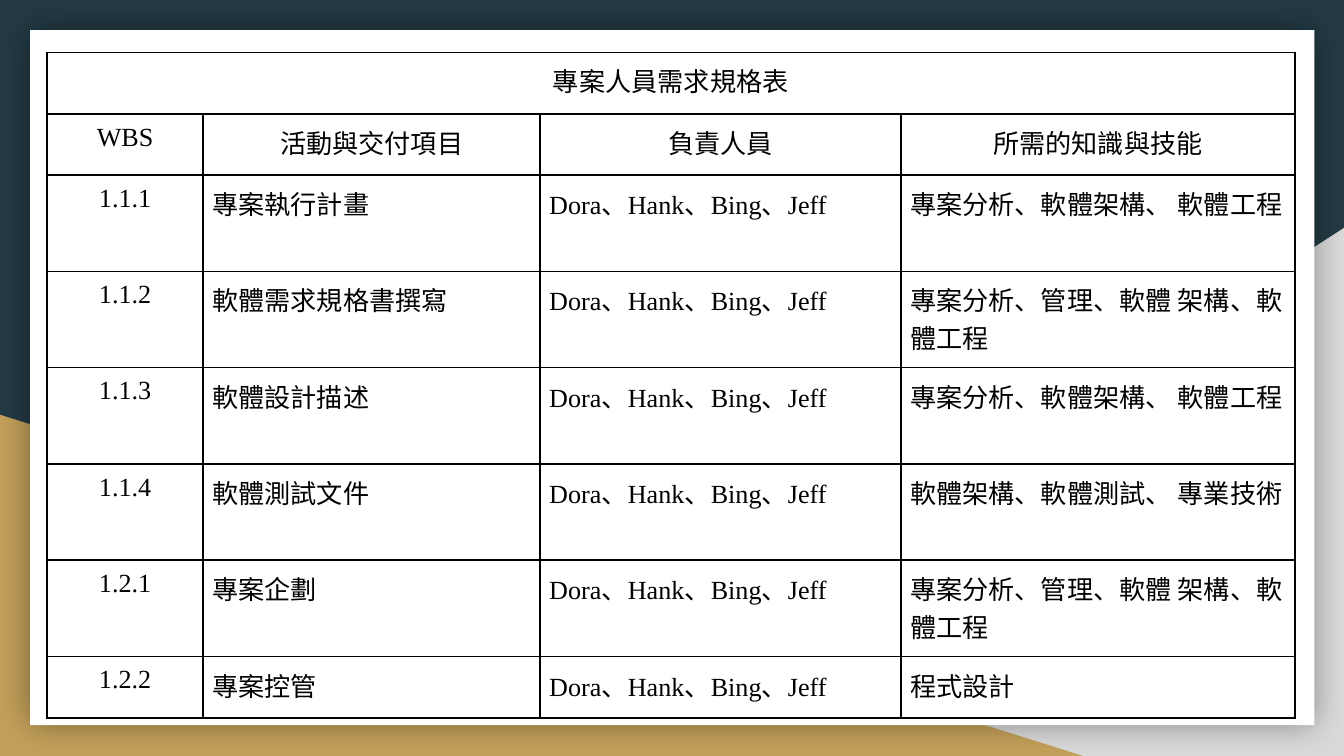
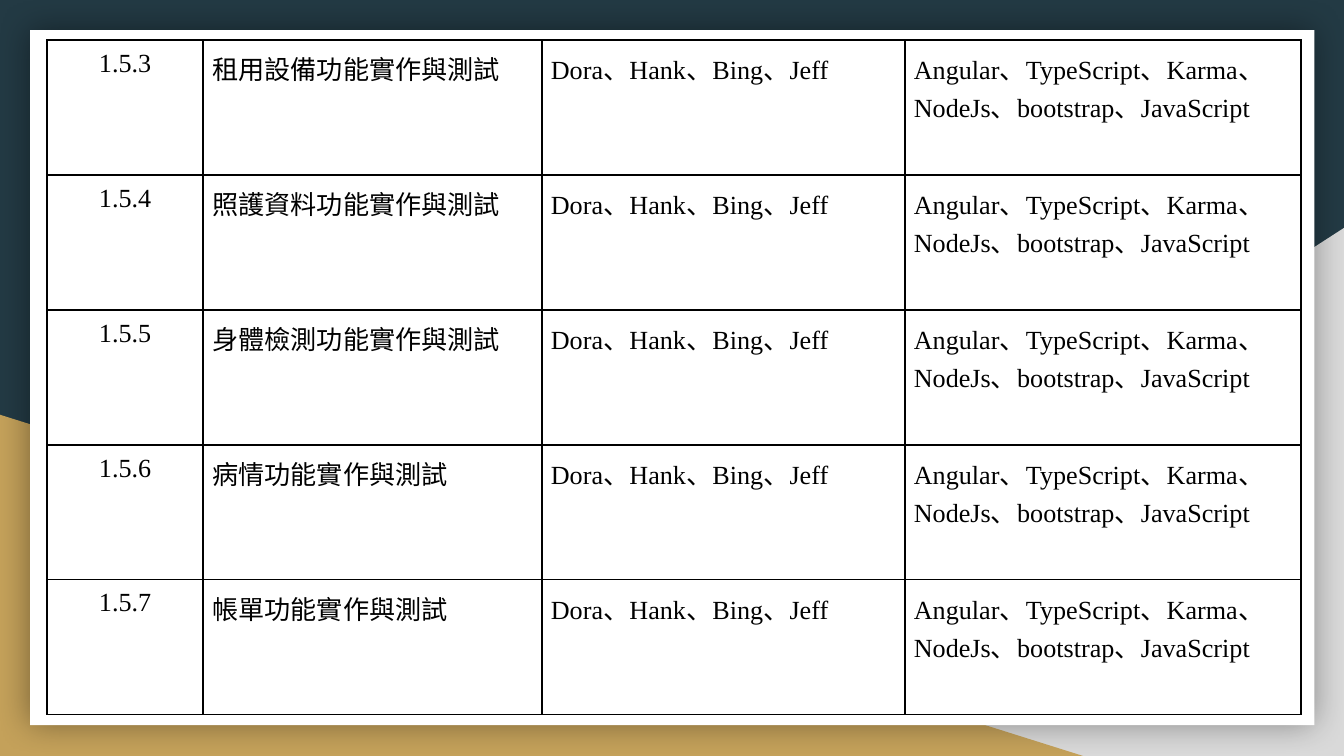
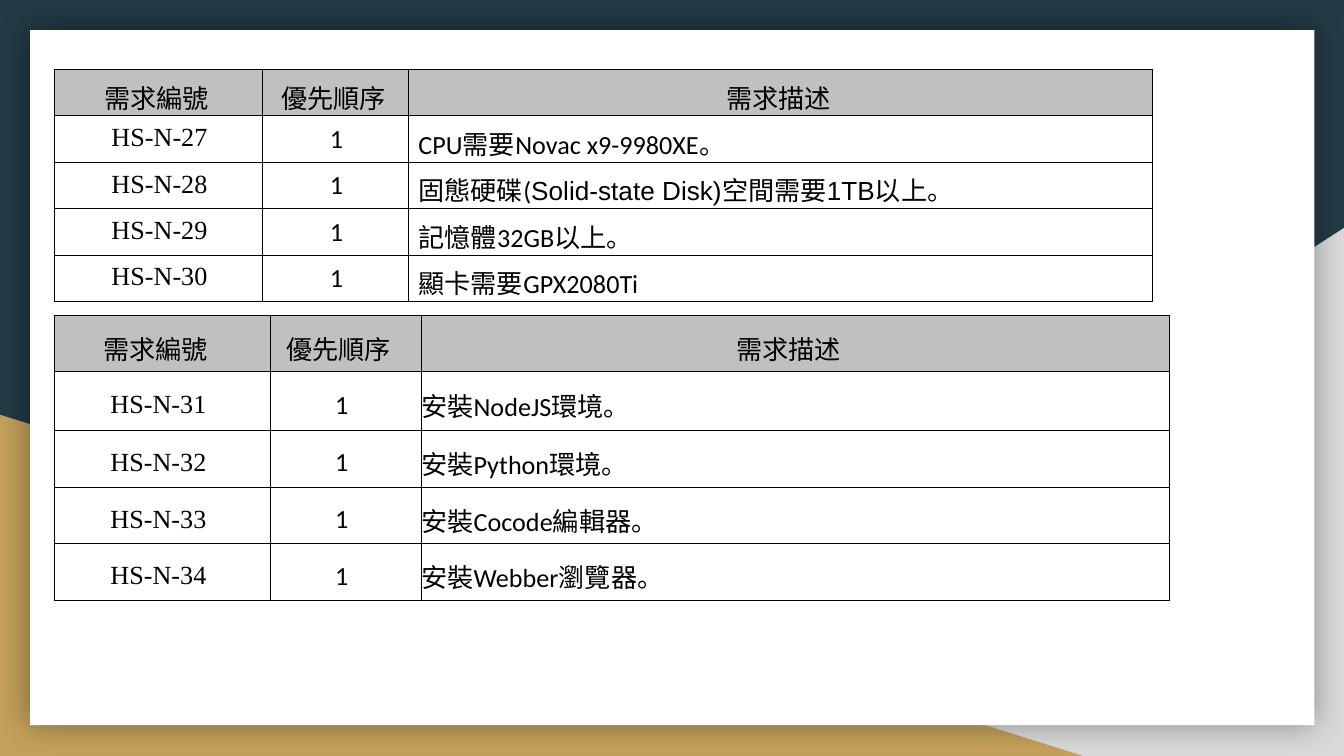
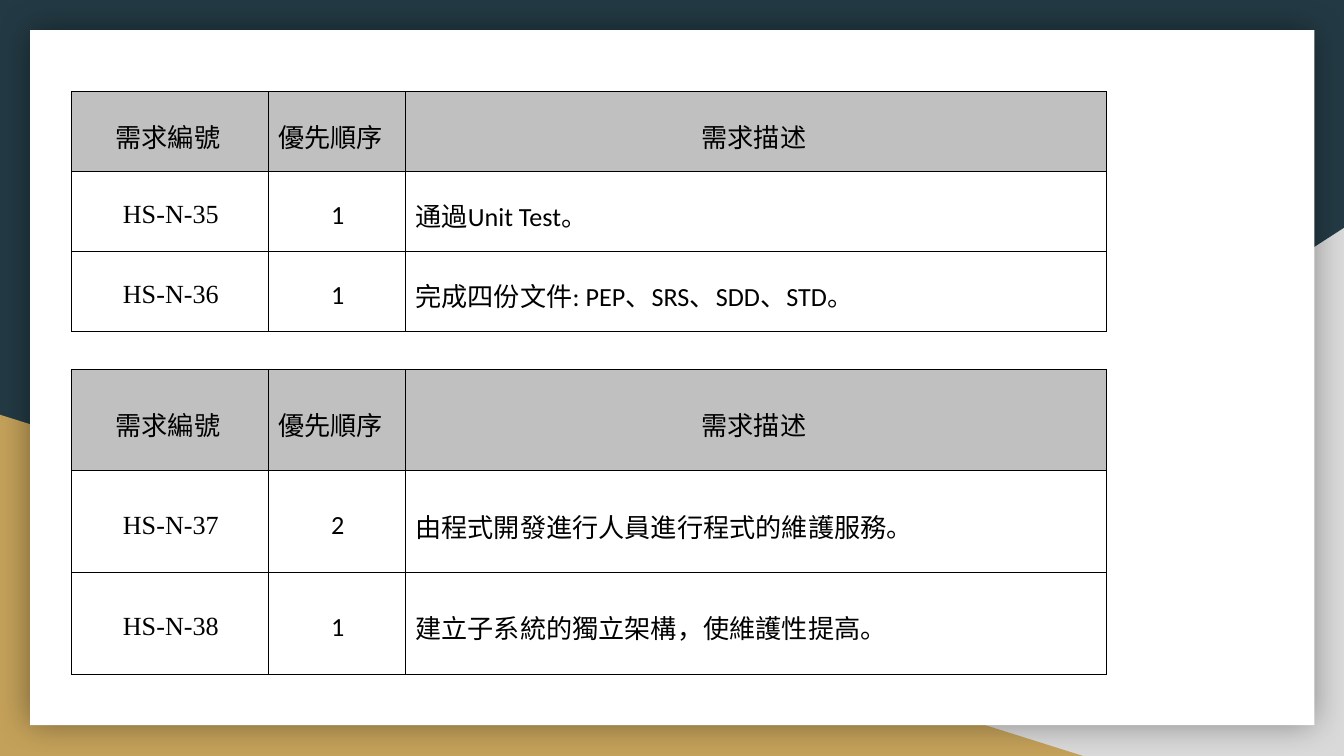
from lxml import etree
from pptx import Presentation
from pptx import util as u
from pptx.dml import color
from pptx.enum import shapes, text
from pptx.oxml import ns

Cm, Pt = u.Cm, u.Pt
AL = text.PP_ALIGN
MID = text.MSO_ANCHOR.MIDDLE

# Shared style
NAVY, GOLD, SILVER = "233A44", "C4A15A", "D9D9D9"
WHITE, BLACK, HEAD_FILL = "FFFFFF", "000000", "C0C0C0"
CJK, SERIF, SANS = "Noto Sans CJK TC", "Times New Roman", "Calibri"

STAFF_MARGINS = (0.17, 0.17, 0.17, 0.17)
NEED_MARGINS = (0.19, 0.1, 0.15, 0)
NEED_HEAD = ["需求編號 ", "優先順序 ", "需求描述 "]


def rgb(value):
    return color.RGBColor.from_string(value)


def set_all(obj, values):
    for name, value in values.items():
        setattr(obj, name, value)


def sub(parent, tag, **attrs):
    el = etree.SubElement(parent, ns.qn(tag))
    for name, value in attrs.items():
        el.set(name, str(value))
    return el


class Deck:
    def __init__(self):
        self.prs = Presentation()
        set_all(self.prs, {"slide_width": Cm(25.4), "slide_height": Cm(14.29)})
        self.s = None

    def slide(self):
        self.s = self.prs.slides.add_slide(self.prs.slide_layouts[6])

    def shape(self, kind, box, fill):
        sp = self.s.shapes.add_shape(kind, *(Cm(v) for v in box))
        sp.shadow.inherit = False
        sp.fill.solid()
        sp.fill.fore_color.rgb = rgb(fill)
        sp.line.fill.background()
        return sp

    def backdrop(self):
        """Build the shared background and move it to the slide master."""
        master = self.prs.slide_master
        fill = master.background.fill
        fill.solid()
        fill.fore_color.rgb = rgb(NAVY)

        kinds = shapes.MSO_SHAPE
        right = self.shape(kinds.RIGHT_TRIANGLE, (9.96, 4.31, 15.44, 9.98), SILVER)
        right.element.spPr.xfrm.set("flipH", "1")
        left = self.shape(kinds.RIGHT_TRIANGLE, (0, 7.84, 20.47, 6.45), GOLD)
        panel = self.shape(kinds.RECTANGLE, (0.57, 0.57, 24.27, 13.14), WHITE)
        effects = panel.element.spPr.find(ns.qn("a:effectLst"))
        glow = sub(effects, "a:outerShdw", blurRad=Pt(18), dist=0, algn="ctr",
                   rotWithShape=0)
        sub(sub(glow, "a:srgbClr", val=BLACK), "a:alpha", val=40000)
        for i, sp in enumerate((right, left, panel)):
            master.element.cSld.spTree.insert(2 + i, sp.element)

    def borders(self, cell, widths):
        tcPr = cell._tc.get_or_add_tcPr()
        for side, width in zip("LRTB", widths):
            ln = sub(tcPr, "a:ln" + side, w=Pt(width))
            sub(sub(ln, "a:solidFill"), "a:srgbClr", val=BLACK)

    def cell_text(self, cell, runs, font, align, spacing=None, indent=0):
        p = cell.text_frame.paragraphs[0]
        set_all(p, {"alignment": align, "line_spacing": spacing})
        if indent:
            pPr = p._p.get_or_add_pPr()
            pPr.set("marL", str(Cm(indent)))
            pPr.set("indent", str(-Cm(indent)))
        for words, face in [(runs, font)] if isinstance(runs, str) else runs:
            r = p.add_run()
            r.text = words
            r.font.color.rgb = rgb(BLACK)
            set_all(r.font, {"size": Pt(14), "name": face})
            sub(r._r.get_or_add_rPr(), "a:ea", typeface=CJK)

    def table(self, left, top, cols, heights):
        frame = self.s.shapes.add_table(
            len(heights), len(cols), Cm(left), Cm(top),
            Cm(sum(cols)), Cm(sum(heights)))
        tbl = frame.table
        set_all(tbl, {"first_row": False, "horz_banding": False})
        for col, width in zip(tbl.columns, cols):
            col.width = Cm(width)
        for row, height in zip(tbl.rows, heights):
            row.height = Cm(height)
        return tbl

    def format_cell(self, cell, margins, widths, anchor=None, fill=None):
        names = ("margin_left", "margin_top", "margin_right", "margin_bottom")
        set_all(cell, dict(zip(names, map(Cm, margins)), vertical_anchor=anchor))
        self.borders(cell, widths)
        if fill:
            cell.fill.solid()
            cell.fill.fore_color.rgb = rgb(fill)
        else:
            cell.fill.background()

    def staff_table(self, top, cols, heights, rows, head_rows=0):
        tbl = self.table(0.89, top, cols, heights)
        for i, row in enumerate(rows):
            for j in range(len(cols)):
                cell = tbl.cell(i, j)
                self.format_cell(cell, STAFF_MARGINS, (1, 1, 1, 1))
                if j < len(row):
                    centred = i < head_rows or j == 0
                    self.cell_text(cell, row[j], SERIF,
                                   AL.CENTER if centred else AL.LEFT)
            if len(row) == 1:
                tbl.cell(i, 0).merge(tbl.cell(i, len(cols) - 1))

    def need_table(self, left, top, cols, heights, first, rows, anchor=MID,
                   margins=NEED_MARGINS, head_align=AL.CENTER,
                   head_indents=(0, 0.08, 0), indents=(0, 0, 0), split=0.5):
        """Requirements numbered from first; split is the rule before the text."""
        tbl = self.table(left, top, cols, heights)
        body = [[f"HS-N-{first + k}", *row] for k, row in enumerate(rows)]
        for i, row in enumerate([NEED_HEAD] + body):
            for j, words in enumerate(row):
                cell = tbl.cell(i, j)
                widths = [0.5] * 4
                if i and j:
                    widths[0 if j == 2 else 1] = split
                self.format_cell(cell, margins, widths, anchor,
                                 None if i else HEAD_FILL)
                if i:
                    self.cell_text(cell, words, (SERIF, SANS, SANS)[j],
                                   AL.LEFT if j == 2 else AL.CENTER, 1.08, indents[j])
                else:
                    self.cell_text(cell, words, CJK,
                                   head_align if j == 1 else AL.CENTER,
                                   1.08, head_indents[j])


def main():
    deck = Deck()
    team = "Dora、Hank、Bing、Jeff"

    # Slide 1: staff requirements
    deck.slide()
    deck.backdrop()
    design = "專案分析、軟體架構、 軟體工程"
    manage = "專案分析、管理、軟體 架構、軟體工程"
    work = [
        ("1.1.1", "專案執行計畫", design),
        ("1.1.2", "軟體需求規格書撰寫", manage),
        ("1.1.3", "軟體設計描述", design),
        ("1.1.4", "軟體測試文件", "軟體架構、軟體測試、 專業技術"),
        ("1.2.1", "專案企劃", manage),
        ("1.2.2", "專案控管", "程式設計"),
    ]
    deck.staff_table(
        0.99, (2.95, 6.37, 6.82, 7.44), [1.16] * 2 + [1.82] * 5 + [1.16],
        [["專案人員需求規格表"], ["WBS", "活動與交付項目", "負責人員", "所需的知識與技能"]]
        + [[wbs, item, team, skill] for wbs, item, skill in work], head_rows=2)

    # Slide 2: implementation and testing staff
    deck.slide()
    stack = "Angular、TypeScript、Karma、NodeJs、bootstrap、JavaScript"
    features = ["租用設備", "照護資料", "身體檢測", "病情", "帳單"]
    deck.staff_table(
        0.76, (2.95, 6.4, 6.86, 7.49), [2.55] * len(features),
        [[f"1.5.{n}", f"{name}功能實作與測試", team, stack]
         for n, name in enumerate(features, 3)])

    # Slide 3: hardware and software requirements
    deck.slide()
    disk = [("固態硬碟(", SANS), ("Solid-state Disk)空間需要1TB以上。", "Arial")]
    deck.need_table(
        1.03, 1.31, (3.93, 2.76, 14.06), [0.76] * 5, 27,
        [("1", "CPU需要Novac x9-9980XE。"), ("1", disk),
         ("1", "記憶體32GB以上。"), ("1", "顯卡需要GPX2080Ti")], anchor=None)
    tools = ["NodeJS環境", "Python環境", "Cocode編輯器", "Webber瀏覽器"]
    deck.need_table(
        1.03, 5.96, (4.08, 2.85, 14.15), [1.07, 1.11] + [1.07] * 3, 31,
        [("1", f"安裝{tool}。") for tool in tools], margins=(0, 0.1, 0.15, 0),
        head_indents=(0.15, 0.25, 0), indents=(0, 0.15, 0.2), split=0.75)

    # Slide 4: delivery and maintenance requirements
    deck.slide()
    groups = [
        (1.73, 1.51, 35, [("1", "通過Unit Test。"),
                          ("1", "完成四份文件: PEP、SRS、SDD、STD。")]),
        (6.98, 1.92, 37, [("2", "由程式開發進行人員進行程式的維護服務。"),
                          ("1", "建立子系統的獨立架構，使維護性提高。")]),
    ]
    for top, height, first, rows in groups:
        deck.need_table(1.35, top, (3.72, 2.59, 13.25), [height] * 3, first, rows,
                        head_align=AL.JUSTIFY)

    deck.prs.save("out.pptx")


if __name__ == "__main__":
    main()
